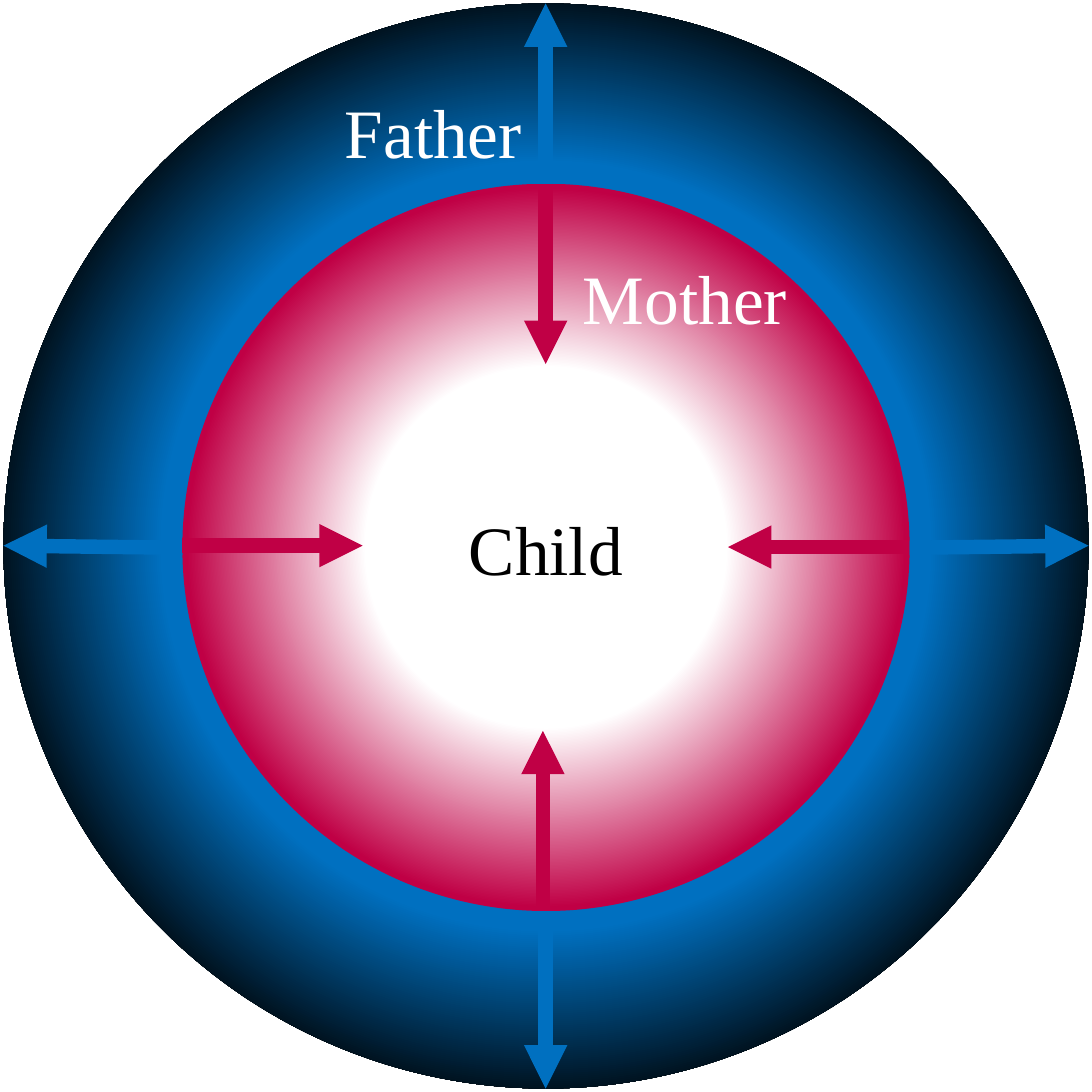
import pptx
import pptx.dml.color
import pptx.enum.dml
import pptx.enum.shapes
import pptx.enum.text
import pptx.oxml
import pptx.oxml.ns
import pptx.util

Inches = pptx.util.Inches
RGBColor = pptx.dml.color.RGBColor

BLUE = RGBColor(0x00, 0x70, 0xC0)
CRIMSON = RGBColor(0xC0, 0x00, 0x45)
BLACK = RGBColor(0x00, 0x00, 0x00)
WHITE = RGBColor(0xFF, 0xFF, 0xFF)

SIDE = 15.75
FATHER_ARROWS = [
    ((7.87, 2.65), (7.87, 0.05)),
    ((13.12, 7.9), (15.7, 7.87)),
    ((2.63, 7.9), (0.05, 7.87)),
    ((7.87, 13.14), (7.87, 15.7)),
]
MOTHER_ARROWS = [
    ((7.87, 2.65), (7.87, 5.25)),
    ((7.83, 13.14), (7.83, 10.54)),
    ((2.63, 7.87), (5.23, 7.87)),
    ((13.11, 7.89), (10.5, 7.89)),
]


def drawing_element(markup):
    return pptx.oxml.parse_xml(markup.replace(">", f" {pptx.oxml.ns.nsdecls('a')}>", 1))


def write_text(shape, text, color=BLACK, size=72, font="Times New Roman"):
    frame = shape.text_frame
    frame.word_wrap = True
    frame.vertical_anchor = pptx.enum.text.MSO_ANCHOR.MIDDLE
    paragraph = frame.paragraphs[0]
    paragraph.alignment = pptx.enum.text.PP_ALIGN.CENTER
    run = paragraph.add_run()
    run.text = text
    run.font.name = font
    run.font.size = pptx.util.Pt(size)
    run.font.color.rgb = color


class FamilyDiagram:
    def __init__(self, slide, arrow_width=15):
        self.shapes = slide.shapes.add_group_shape().shapes
        self.arrow_width = pptx.util.Pt(arrow_width)

    def circle(self, left, top, diameter, stops):
        shape = self.shapes.add_shape(
            pptx.enum.shapes.MSO_SHAPE.OVAL,
            Inches(left), Inches(top), Inches(diameter), Inches(diameter),
        )
        shape.shadow.inherit = False
        shape.line.fill.background()
        shape.fill.gradient()
        for stop, (position, color) in zip(shape.fill.gradient_stops, stops):
            stop.position = position
            stop.color.rgb = color
        linear = shape.element.spPr.find(".//" + pptx.oxml.ns.qn("a:lin"))
        radial = drawing_element(
            '<a:path path="circle">'
            '<a:fillToRect l="50000" t="50000" r="50000" b="50000"/></a:path>'
        )
        linear.getparent().replace(linear, radial)
        return shape

    def arrow(self, start, end, color):
        connector = self.shapes.add_connector(
            pptx.enum.shapes.MSO_CONNECTOR.STRAIGHT,
            *(Inches(length) for length in start + end),
        )
        connector.line.color.rgb = color
        connector.line.width = self.arrow_width
        connector.line._get_or_add_ln().append(
            drawing_element('<a:tailEnd type="triangle"></a:tailEnd>')
        )
        connector.element.spPr.append(drawing_element("<a:effectLst></a:effectLst>"))

    def label(self, left, top, width, height, text, color):
        box = self.shapes.add_textbox(
            Inches(left), Inches(top), Inches(width), Inches(height)
        )
        write_text(box, text, color=color)


def main():
    presentation = pptx.Presentation()
    presentation.slide_width = presentation.slide_height = Inches(SIDE)
    slide = presentation.slides.add_slide(presentation.slide_layouts[6])
    diagram = FamilyDiagram(slide)

    diagram.circle(0.05, 0.05, 15.65, [(0.5, BLUE), (0.75, BLACK)])
    mother_circle = diagram.circle(2.63, 2.65, 10.49, [(0.35, WHITE), (0.7, CRIMSON)])
    write_text(mother_circle, "Child")

    for color, arrows in ((BLUE, FATHER_ARROWS), (CRIMSON, MOTHER_ARROWS)):
        for start, end in arrows:
            diagram.arrow(start, end, color)

    diagram.label(6.31, 3.61, 7.14, 1.35, "Mother", WHITE)
    diagram.label(2.68, 1.01, 7.14, 1.75, "Father", WHITE)
    presentation.save("out.pptx")


if __name__ == "__main__":
    main()
